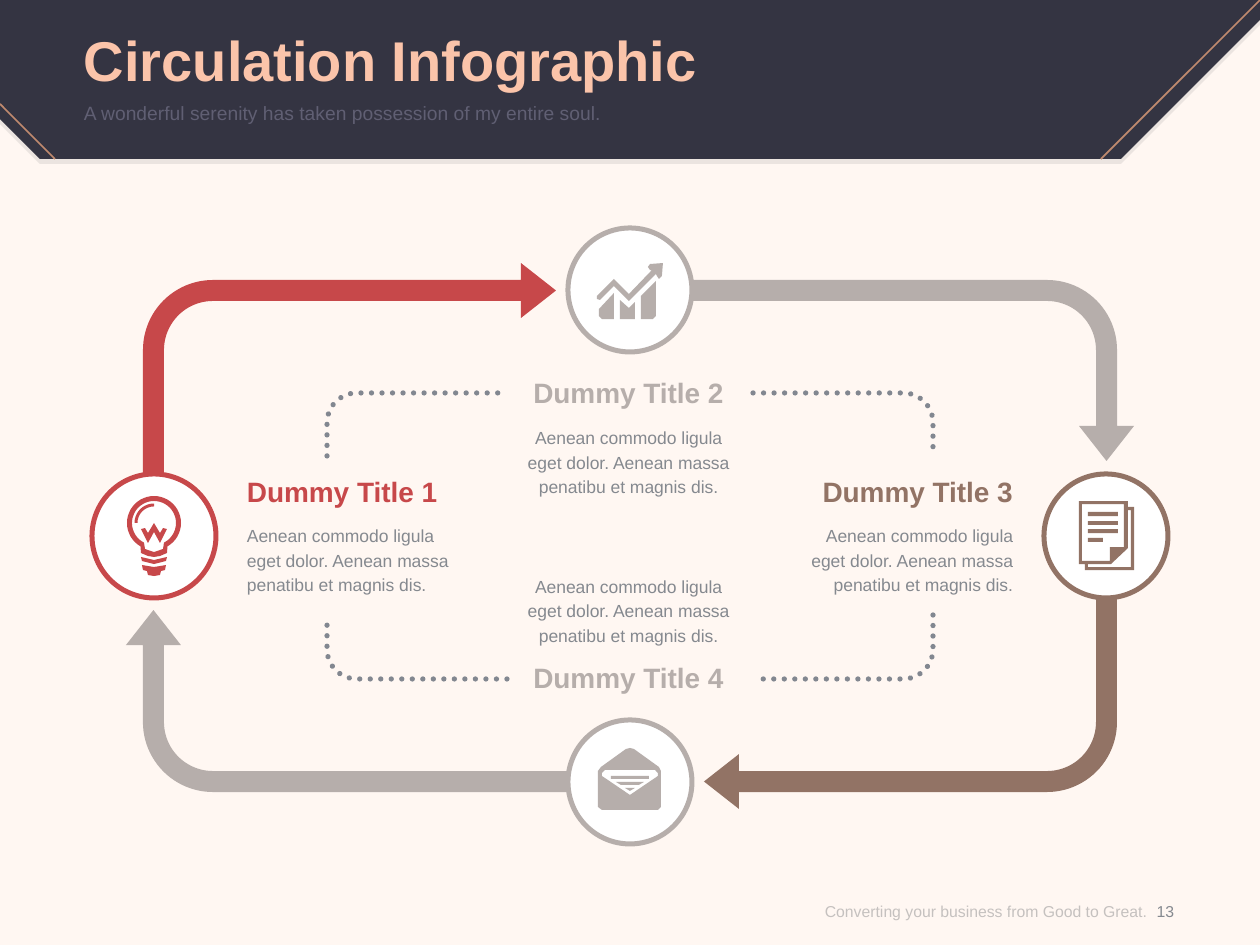
from math import cos, radians, sin

from lxml import etree
from pptx import Presentation
from pptx.dml.color import RGBColor
from pptx.enum.shapes import MSO_CONNECTOR, MSO_SHAPE
from pptx.enum.text import MSO_ANCHOR, MSO_AUTO_SIZE, PP_ALIGN
from pptx.oxml.ns import qn
from pptx.util import Pt

PX = 914400 / 126
C = {
    "cream": "FFF7F2", "navy": "343442", "shade": "EBE4E0", "bronze": "BF896E",
    "peach": "FBC4AA", "slate": "605F73", "white": "FFFFFF", "red": "C7484A",
    "brown": "927365", "stone": "B6AEAB", "dots": "828790", "text": "85898F",
    "footer": "C5C1BF",
}
C = {name: RGBColor.from_string(value) for name, value in C.items()}
LEFT, CENTER, RIGHT = PP_ALIGN.LEFT, PP_ALIGN.CENTER, PP_ALIGN.RIGHT
TOP, MIDDLE, BOTTOM = MSO_ANCHOR.TOP, MSO_ANCHOR.MIDDLE, MSO_ANCHOR.BOTTOM


def arc(cx, cy, r, start, end, steps=40):
    angles = [radians(start + (end - start) * i / steps) for i in range(steps + 1)]
    return [(cx + r * cos(a), cy + r * sin(a)) for a in angles]


def freeform(contours, color, width=0):
    contours = [[(x * 10, y * 10) for x, y in c] for c in contours]
    fb = shapes.build_freeform(*contours[0][0], scale=PX / 10)
    for i, points in enumerate(contours):
        if i:
            fb.move_to(*points[0])
        fb.add_line_segments(points[1:], close=not width)
    sp = fb.convert_to_shape()
    sp.shadow.inherit = False
    if width:
        sp.fill.background()
        sp.line.color.rgb = C[color]
        sp.line.width = round(width * PX)
    else:
        sp.fill.solid()
        sp.fill.fore_color.rgb = C[color]
        sp.line.fill.background()
    return sp


prs = Presentation()
prs.slide_width, prs.slide_height = round(1260 * PX), round(945 * PX)
s = prs.slides.add_slide(prs.slide_layouts[1])
shapes = s.shapes
title_ph, body_ph = shapes.title, s.placeholders[1]
s.background.fill.solid()
s.background.fill.fore_color.rgb = C["cream"]

banner = [(0, 0), (1260, 0), (1260, 20), (1121, 159), (40, 159), (0, 119)]
for dy, color in ((5, "shade"), (0, "navy")):
    freeform([[(x, y + dy) for x, y in banner]], color)
for ends in ((1260, 0, 1101, 159), (55, 159, 0, 104)):
    cn = shapes.add_connector(MSO_CONNECTOR.STRAIGHT, *[round(v * PX) for v in ends])
    cn.line.color.rgb = C["bronze"]
    cn.line.width = Pt(1)
    etree.SubElement(cn._element.spPr, qn("a:effectLst"))
for sp in (title_ph, body_ph):
    shapes.element.append(sp.element)

arrows = [
    (143, 263, 413, 272, 0, "red"),
    (704, 536, 413, 273, 180, "brown"),
    (630, 280, 504, 181, 90, "stone"),
    (126, 610, 504, 182, 270, "stone"),
]
for x, y, w, h, turn, color in arrows:
    cx, cy = x + w / 2, y + h / 2
    if turn % 180:
        w, h = h, w
    box = [round(v * PX) for v in (cx - w / 2, cy - h / 2, w, h)]
    sp = shapes.add_shape(MSO_SHAPE.BENT_ARROW, *box)
    for i, size in enumerate((21, 27.5, 35, 70)):
        sp.adjustments[i] = size / min(w, h)
    sp.rotation = turn
    sp.shadow.inherit = False
    sp.fill.solid()
    sp.fill.fore_color.rgb = C[color]
    sp.line.fill.background()

D = 124
rings = [(154, 536, "red"), (1106, 536, "brown"), (630, 290, "stone"), (630, 782, "stone")]
for cx, cy, color in rings:
    box = [round(v * PX) for v in (cx - D / 2, cy - D / 2, D, D)]
    sp = shapes.add_shape(MSO_SHAPE.OVAL, *box)
    sp.shadow.inherit = False
    sp.fill.solid()
    sp.fill.fore_color.rgb = C["white"]
    sp.line.color.rgb = C[color]
    sp.line.width = round(5 * PX)

envelope = [
    [(598, 771), (601, 767), (626, 749), (630, 748), (634, 749), (659, 767), (661, 771),
     (661, 807), (658, 810), (602, 810), (598, 807)],
    [(602, 776), (602, 773), (605, 770), (655, 770), (658, 773), (658, 776), (630, 795)],
    [(611, 776), (649, 776), (649, 779), (611, 779)],
    [(616, 782), (644, 782), (639, 785), (621, 785)],
    [(625, 788), (635, 788), (630, 791)],
]
bulb = [
    arc(154, 523, 27, 120, 420) + [(167, 553), (160, 556), (154, 557), (148, 556), (141, 553)],
    arc(154, 523, 22, 117, 423) + [(163, 549), (154, 552), (145, 549)],
    [(141, 529), (145, 528), (148, 533), (154, 523), (160, 533), (163, 528), (167, 529),
     (160, 543), (154, 532), (148, 543)],
    [(141, 557), (154, 560), (167, 557), (166, 561), (154, 564), (142, 561)],
    [(142, 565), (154, 567), (166, 565), (165, 570), (161, 571), (160, 575), (154, 576),
     (148, 575), (147, 571), (143, 570)],
]
chart = [
    [(599, 309), (614, 293), (614, 319), (602, 319), (599, 316)],
    [(620, 300), (629, 308), (635, 302), (635, 319), (620, 319)],
    [(641, 296), (656, 281), (656, 316), (653, 319), (641, 319)],
    [(597, 296), (614, 279), (629, 294), (652, 270), (650, 270), (648, 267), (650, 264),
     (663, 263), (662, 276), (659, 279), (657, 276), (656, 274), (629, 301), (614, 286),
     (600, 300), (597, 299)],
]
document = [
    [(1079, 501), (1128, 501), (1128, 507), (1134, 507), (1134, 570), (1085, 570),
     (1085, 564), (1079, 564)],
    [(1082, 504), (1124, 504), (1124, 547), (1110, 547), (1110, 561), (1082, 561)],
    [(1088, 564), (1111, 564), (1128, 548), (1128, 510), (1131, 510), (1131, 567), (1088, 567)],
]
for y, right in ((512, 1118), (521, 1118), (529, 1118), (538, 1103)):
    document.append([(1088, y), (right, y), (right, y + 4), (1088, y + 4)])
icons = [(envelope, "stone"), (bulb, "red"), (chart, "stone"), (document, "brown")]
for contours, color in icons:
    freeform(contours, color)
freeform([arc(154, 523, 18, 180, 270)], "red", 3)

brackets = [
    [(507, 679), *arc(357, 649, 30, 90, 180), (327, 615)],
    [(933, 615), *arc(903, 649, 30, 0, 90), (753, 679)],
    [(327, 456), *arc(357, 423, 30, 180, 270), (507, 393)],
    [(753, 393), *arc(903, 423, 30, 270, 360), (933, 456)],
]
for points in brackets:
    ln = freeform([points], "dots", 5.25).line._get_or_add_ln()
    ln.set("cap", "rnd")
    etree.SubElement(ln, qn("a:prstDash"), val="sysDot")
    etree.SubElement(ln, qn("a:round"))

body = "Aenean commodo ligula eget dolor. Aenean massa penatibu et magnis dis."
texts = [
    (title_ph, "Circulation Infographic", (84, 18, 1091, 82), 32, "peach", True, LEFT, MIDDLE),
    (body_ph, "A wonderful serenity has taken possession of my entire soul.",
     (84, 101, 1091, 49), 11, "slate", False, LEFT, TOP),
    (None, "Converting your business from Good to Great.",
     (761, 877, 386, 68), 9, "footer", False, RIGHT, MIDDLE),
    (None, "13", (1136, 877, 59, 68), 9, "text", False, CENTER, MIDDLE),
]
items = [
    (1, 247, 475, 522, "red", LEFT, TOP),
    (3, 796, 475, 522, "brown", RIGHT, TOP),
    (2, 520, 376, 424, "stone", CENTER, TOP),
    (4, 520, 661, 546, "stone", CENTER, BOTTOM),
]
for n, x, title_y, body_y, color, align, anchor in items:
    texts += [
        (None, body, (x, body_y, 217, 100), 10, "text", False, align, anchor),
        (None, f"Dummy Title {n}", (x, title_y, 217, 34), 16, color, True, align, TOP),
    ]
for sp, text, box, size, color, bold, align, anchor in texts:
    box = [round(v * PX) for v in box]
    sp = sp or shapes.add_textbox(*box)
    sp.left, sp.top, sp.width, sp.height = box
    tf = sp.text_frame
    frame = {"margin_left": 0, "margin_right": 0, "margin_top": 0, "margin_bottom": 0,
             "word_wrap": True, "auto_size": MSO_AUTO_SIZE.NONE, "vertical_anchor": anchor}
    for name, value in frame.items():
        setattr(tf, name, value)
    p = tf.paragraphs[0]
    p.alignment = align
    p.space_before = Pt(0)
    if text == body:
        p.line_spacing = Pt(14)
    r = p.add_run()
    r.text = text
    for name, value in {"name": "Arial", "size": Pt(size), "bold": bold}.items():
        setattr(r.font, name, value)
    r.font.color.rgb = C[color]

pPr = body_ph.text_frame.paragraphs[0]._p.get_or_add_pPr()
pPr.set("marL", "0")
pPr.set("indent", "0")
etree.SubElement(pPr, qn("a:buNone"))

prs.save("out.pptx")
